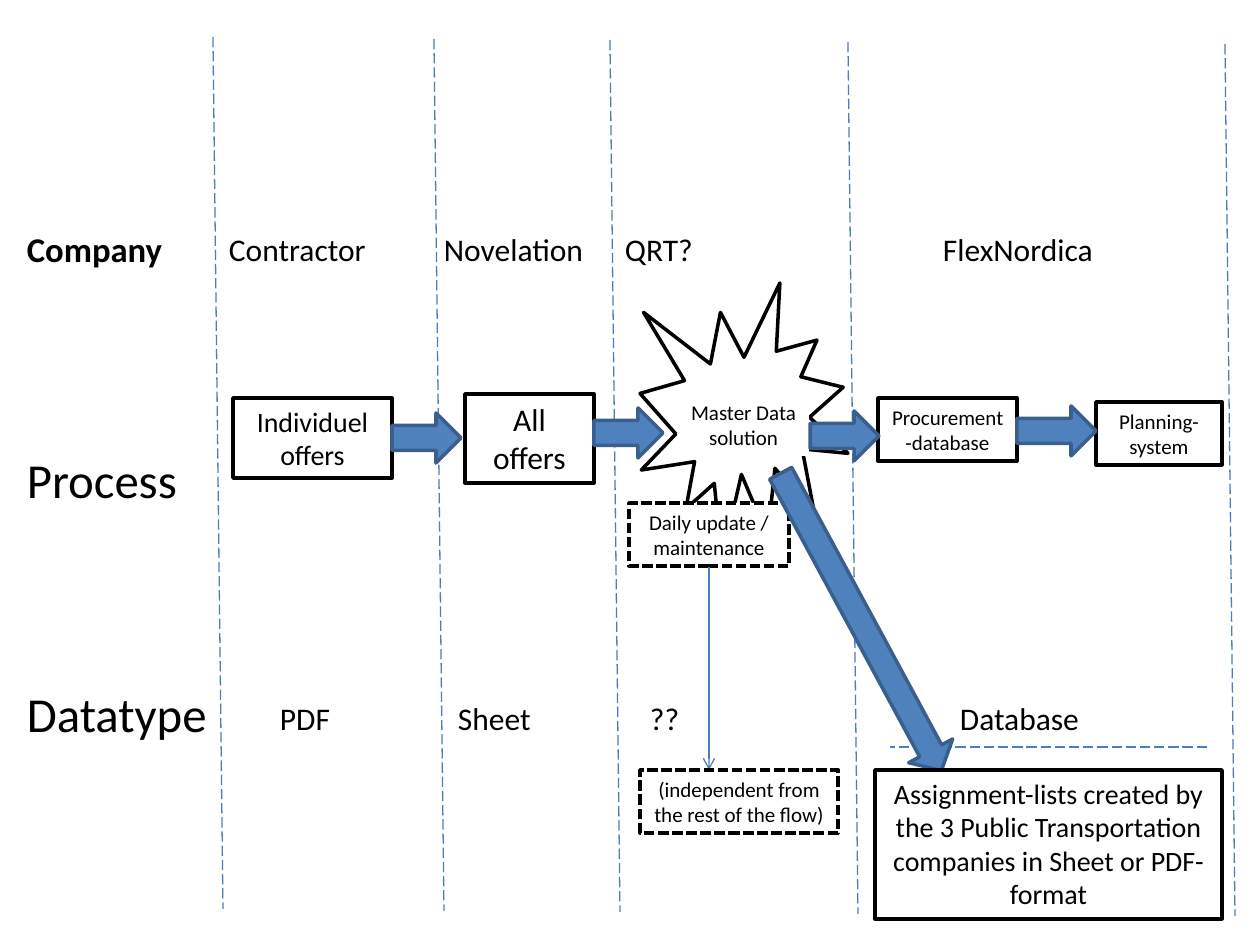
from lxml import etree
from pptx import Presentation, util as u
from pptx.dml.color import RGBColor
from pptx.enum import dml, shapes, text
from pptx.oxml.ns import qn

PX = u.Inches(1) / 126
COLORS = {"ink": "000000", "paper": "FFFFFF", "arrow": "4F81BD",
          "arrow_edge": "3A5F8C", "line": "4B7EBC"}
FONT = "Calibri"


def px(n):
    """Turn picture pixels into EMU."""
    return u.Emu(round(n * PX))


def rgb(name):
    """Look up a colour."""
    return RGBColor.from_string(COLORS[name])


def add_shape(s, kind, box, fill="paper", edge="ink", dash=None):
    """Place a filled preset shape; edge None leaves out the outline."""
    sp = s.shapes.add_shape(kind, *map(px, box))
    sp.shadow.inherit = False
    sp.fill.solid()
    sp.fill.fore_color.rgb = rgb(fill)
    if edge:
        sp.line.color.rgb = rgb(edge)
        sp.line.width = u.Pt(2)
        sp.line.dash_style = dash
    else:
        sp.line.fill.background()
    return sp


def add_box(s, box, words, size, edge="ink", dash=None):
    """Place a rectangle with centred text at its top."""
    sp = add_shape(s, shapes.MSO_SHAPE.RECTANGLE, box, "paper", edge, dash)
    tf = sp.text_frame
    tf.word_wrap = True
    tf.vertical_anchor = text.MSO_ANCHOR.TOP
    p = tf.paragraphs[0]
    p.text = words
    p.alignment = text.PP_ALIGN.CENTER
    set_font(p, size)


def set_font(p, size, bold=False):
    """Set the font of a paragraph."""
    p.font.name, p.font.size, p.font.bold = FONT, u.Pt(size), bold
    p.font.color.rgb = rgb("ink")


def add_arrow(s, box, rotation=0, head=0.5):
    """Place a block arrow."""
    sp = add_shape(s, shapes.MSO_SHAPE.RIGHT_ARROW, box, "arrow", "arrow_edge")
    sp.adjustments[1] = head
    sp.rotation = rotation


def add_line(s, x1, y1, x2, y2, dash=None, tail=False):
    """Draw a thin line, with an open arrowhead if tail is set."""
    line = s.shapes.add_connector(shapes.MSO_CONNECTOR.STRAIGHT,
                                  px(x1), px(y1), px(x2), px(y2))
    line.line.color.rgb = rgb("line")
    line.line.width = u.Pt(0.75)
    line.line.dash_style = dash
    if tail:
        etree.SubElement(line.line._get_or_add_ln(), qn("a:tailEnd"), type="arrow")
    etree.SubElement(line._element.spPr, qn("a:effectLst"))


def add_row(s, box, title, size, bold, cells, drop=0):
    """Write a row title and its cells, given as (left offset, words)."""
    left, top, width, height = box
    labels = [(0, title, size, bold, 0)]
    labels += [(dx, words, 18, False, drop) for dx, words in cells]
    for dx, words, points, strong, dy in labels:
        sp = s.shapes.add_textbox(px(left + dx), px(top + dy),
                                  px(min(200, width - dx)), px(height))
        tf = sp.text_frame
        tf.margin_left = tf.margin_right = tf.margin_top = tf.margin_bottom = 0
        tf.word_wrap = False
        tf.vertical_anchor = text.MSO_ANCHOR.MIDDLE
        p = tf.paragraphs[0]
        p.text = words
        set_font(p, points, strong)


def add_dividers(s, box):
    """Draw the slanted column borders."""
    left, top, width, height = box
    for dx, dy in ((0, 0), (221, 2), (397, 3), (635, 5), (1012, 7)):
        add_line(s, left + dx, top + dy, left + dx + 10, top + dy + height,
                 dml.MSO_LINE.LONG_DASH)


def add_flow(s, box):
    """Place the process chain from single offers to planning."""
    left, top, width, height = box

    def at(x, y, w, h):
        return left + x, top + y, w, h

    dash = dml.MSO_LINE.SQUARE_DOT
    add_box(s, at(0, 115, 159, 80), "Individuel offers", 16)
    add_arrow(s, at(159, 130, 69, 50))
    add_box(s, at(232, 111, 129, 89), "All offers", 18)
    add_shape(s, shapes.MSO_SHAPE.EXPLOSION1, at(407, 0, 208, 277))
    add_box(s, at(445, 110, 131, 63), "Master Data solution", 12, None)
    add_arrow(s, at(361, 125, 69, 50))
    add_box(s, at(396, 220, 160, 63), "Daily update / maintenance", 12, dash=dash)
    add_line(s, left + 476, top + 284, left + 476, top + 487, tail=True)
    add_box(s, at(407, 487, 198, 63), "(independent from the rest of the flow)",
            12, dash=dash)
    add_box(s, at(645, 115, 139, 63), "Procurement-database", 12)
    add_arrow(s, at(577, 128, 69, 50))
    add_box(s, at(863, 119, 126, 63), "Planning-system", 12)
    add_arrow(s, at(784, 123, 79, 50))


def add_outcome(s, box):
    """Place the long arrow and the lists it leads to."""
    left, top, width, height = box
    add_line(s, left + 332, top - 23, left + 15, top - 23, dml.MSO_LINE.LONG_DASH)
    add_arrow(s, (left - 183, top - 173, 338, 50), 61.6, 0.45)
    add_box(s, box, "Assignment-lists created by the 3 Public Transportation "
            "companies in Sheet or PDF-format", 16)


prs = Presentation()
prs.slide_width, prs.slide_height = u.Inches(10), u.Inches(7.5)
s = prs.slides.add_slide(prs.slide_layouts[6])

add_row(s, (27, 229, 1200, 40), "Company", 19.8, True,
        [(202, "Contractor"), (417, "Novelation"), (598, "QRT?"), (916, "FlexNordica")])
add_row(s, (27, 449, 1200, 60), "Process", 27.9, False, [])
add_row(s, (27, 683, 1200, 60), "Datatype", 27.9, False,
        [(253, "PDF"), (431, "Sheet"), (623, "??"), (933, "Database")], 5)
add_dividers(s, (213, 37, 1022, 872))
add_flow(s, (233, 283, 989, 550))
add_outcome(s, (875, 770, 347, 149))
prs.save("out.pptx")
